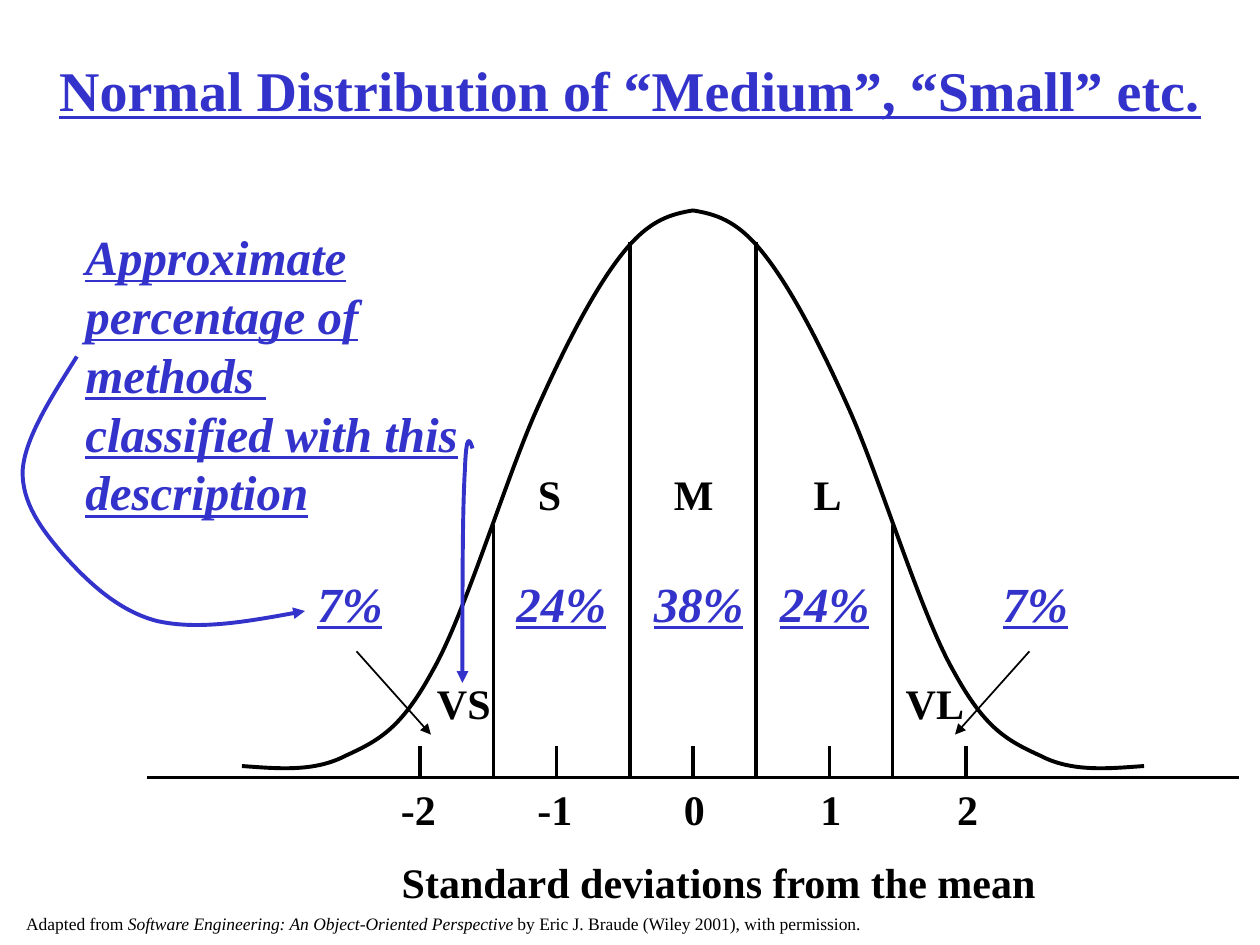
from lxml import etree
from pptx import Presentation
from pptx.dml.color import RGBColor
from pptx.enum.shapes import MSO_CONNECTOR
from pptx.enum.text import MSO_ANCHOR, MSO_AUTO_SIZE, PP_ALIGN
from pptx.oxml.ns import qn
from pptx.util import Inches, Pt

STRAIGHT = MSO_CONNECTOR.STRAIGHT
LEFT, CENTER = PP_ALIGN.LEFT, PP_ALIGN.CENTER
TOP, MIDDLE = MSO_ANCHOR.TOP, MSO_ANCHOR.MIDDLE
GROW, FIXED = MSO_AUTO_SIZE.SHAPE_TO_FIT_TEXT, MSO_AUTO_SIZE.NONE
FONT = "Times New Roman"
BLACK, BLUE, WHITE = "000000", "3333CC", "FFFFFF"
HEADING = {"size": Pt(32), "bold": True, "underline": True}
LABEL = {"size": Pt(24), "bold": True}
NOTE = {"size": Pt(28), "bold": True, "italic": True, "underline": True}
SOURCE = {"size": Pt(10)}
AXIS_Y, MEAN_X, STEP = 6.17, 5.5, 13 / 12


def rgb(value):
    return RGBColor.from_string(value)


class Canvas:
    def __init__(self, slide):
        self.slide = slide
        self.shapes = slide.shapes

    def stroke(self, sp, color, width, arrow):
        sp.line.color.rgb = rgb(color)
        sp.line.width = Pt(width)
        if arrow:
            ln = sp.line._get_or_add_ln()
            etree.SubElement(ln, qn("a:tailEnd"), type="triangle")

    def line(self, x1, y1, x2, y2, width=1.75, arrow=False):
        sp = self.shapes.add_connector(
            STRAIGHT, Inches(x1), Inches(y1), Inches(x2), Inches(y2))
        self.stroke(sp, BLACK, width, arrow)
        etree.SubElement(sp._element.spPr, qn("a:effectLst"))

    def curve(self, points, color=BLACK, arrow=False):
        """Draw cubic curves: a start point, then three points for each curve."""
        pts = [(Inches(x), Inches(y)) for x, y in points]
        builder = self.shapes.build_freeform(*pts[0])
        builder.add_line_segments(pts[1:], close=False)
        sp = builder.convert_to_shape()
        segments = list(sp._element.iter(qn("a:lnTo")))
        for i in range(0, len(segments), 3):
            bezier = etree.Element(qn("a:cubicBezTo"))
            segments[i].addprevious(bezier)
            for segment in segments[i:i + 3]:
                bezier.append(segment[0])
                segment.getparent().remove(segment)
        sp.shadow.inherit = False
        sp.fill.background()
        self.stroke(sp, color, 2.25, arrow)

    def text(self, runs, x, y, w, h, style, color=BLACK, wrap=False,
             align=LEFT, anchor=TOP, inset=0.05, fit=GROW, fill=None):
        """Place one paragraph; runs is a string or (text, extra style) pairs."""
        sp = self.shapes.add_textbox(Inches(x), Inches(y), Inches(w), Inches(h))
        if fill:
            sp.fill.solid()
            sp.fill.fore_color.rgb = rgb(fill)
        tf = sp.text_frame
        frame = {"word_wrap": wrap, "auto_size": fit, "vertical_anchor": anchor,
                 "margin_left": Inches(0.1), "margin_right": Inches(0.1),
                 "margin_top": Inches(inset), "margin_bottom": Inches(inset)}
        for name, value in frame.items():
            setattr(tf, name, value)
        p = tf.paragraphs[0]
        p.alignment = align
        for content, extra in [(runs, {})] if isinstance(runs, str) else runs:
            for i, part in enumerate(content.split("\n")):
                if i:
                    p.add_line_break()
                r = p.add_run()
                r.text = part
                for name, value in {"name": FONT, **style, **extra}.items():
                    setattr(r.font, name, value)
                r.font.color.rgb = rgb(color)


def main():
    prs = Presentation()
    prs.slide_width, prs.slide_height = Inches(10), Inches(7.5)
    s = Canvas(prs.slides.add_slide(prs.slide_layouts[6]))

    s.text("Normal Distribution of “Medium”, “Small” etc.", 0.25, 0.42, 9.5, 0.58,
           HEADING, BLUE, wrap=True, align=CENTER, anchor=MIDDLE, inset=0, fit=FIXED)

    # Axis, bell curve and class boundaries
    s.line(1.17, AXIS_Y, 9.83, AXIS_Y)
    left_half = [(1.92, 6.08), (2.2, 6.1), (2.49, 6.13), (2.74, 6),
                 (3, 5.88), (3.18, 5.79), (3.43, 5.33),
                 (3.69, 4.88), (4.01, 3.81), (4.26, 3.25),
                 (4.51, 2.69), (4.74, 2.26), (4.95, 2),
                 (5.16, 1.74), (5.33, 1.7), (MEAN_X, 1.67)]
    s.curve(left_half)
    s.curve([(2 * MEAN_X - x, y) for x, y in left_half])
    for offset, top in ((0.5, 1.92), (1.58, 4.17)):
        for side in (-1, 1):
            x = MEAN_X + side * offset
            s.line(x, AXIS_Y, x, top)

    # Ticks and their values
    for value in range(-2, 3):
        x = MEAN_X + value * STEP
        s.line(x, AXIS_Y, x, AXIS_Y - 0.25)
        shift, width = (0.25, 0.58) if value < 0 else (0.17, 0.42)
        s.text(str(value), x - shift, AXIS_Y, width, 0.5, LABEL, wrap=True)
    s.text("Standard deviations from the mean", 3.09, 6.75, 5.23, 0.5, LABEL)

    # Size classes and their shares
    for name, x, y, width in (("VS", 3.37, 5.33, 0.63), ("S", 4.17, 3.67, 0.38),
                              ("M", 5.25, 3.67, 0.51), ("L", 6.36, 3.67, 0.42),
                              ("VL", 7.09, 5.33, 0.66)):
        s.text(name, x, y, width, 0.5, LABEL)
    for share, x, width in (("7%", 2.42, 0.72), ("24%", 4, 0.91),
                            ("38%", 5.09, 0.91), ("24%", 6.09, 0.91),
                            ("7%", 7.86, 0.72)):
        s.text(share, x, 4.5, width, 0.57, NOTE, BLUE)
    for side in (-1, 1):
        s.line(MEAN_X + side * 2.67, 5.17, MEAN_X + side * 2.08, 5.83,
               width=1, arrow=True)

    # Explanation with arrows to a share and a class
    s.text("Approximate percentage of methods \nclassified with this description",
           0.58, 1.75, 3.17, 2.44, NOTE, BLUE, wrap=True)
    s.curve([(0.61, 2.83), (0.41, 3.15), (0.2, 3.47), (0.18, 3.73),
             (0.17, 3.99), (0.33, 4.2), (0.5, 4.4),
             (0.68, 4.6), (0.93, 4.85), (1.25, 4.93),
             (1.57, 5), (1.99, 4.93), (2.42, 4.85)], BLUE, arrow=True)
    s.curve([(3.75, 3.56), (3.73, 3.49), (3.7, 3.42), (3.69, 3.73),
             (3.67, 4.04), (3.67, 4.73), (3.67, 5.42)], BLUE, arrow=True)

    s.text([("Adapted from ", {}),
            ("Software Engineering: An Object-Oriented Perspective ", {"italic": True}),
            ("by Eric J. Braude (Wiley 2001), with permission.", {})],
           0.11, 7.25, 6.83, 0.17, SOURCE, inset=0, fill=WHITE)

    prs.save("out.pptx")


if __name__ == "__main__":
    main()
